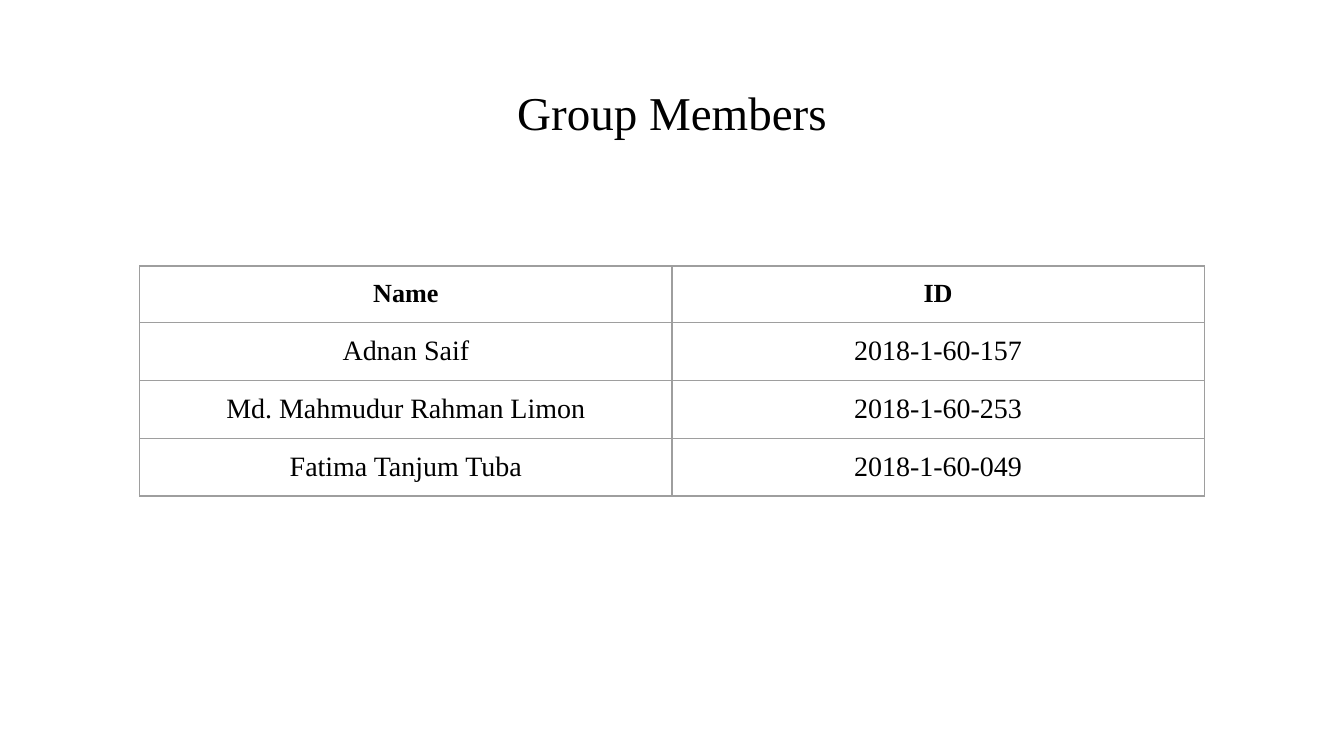
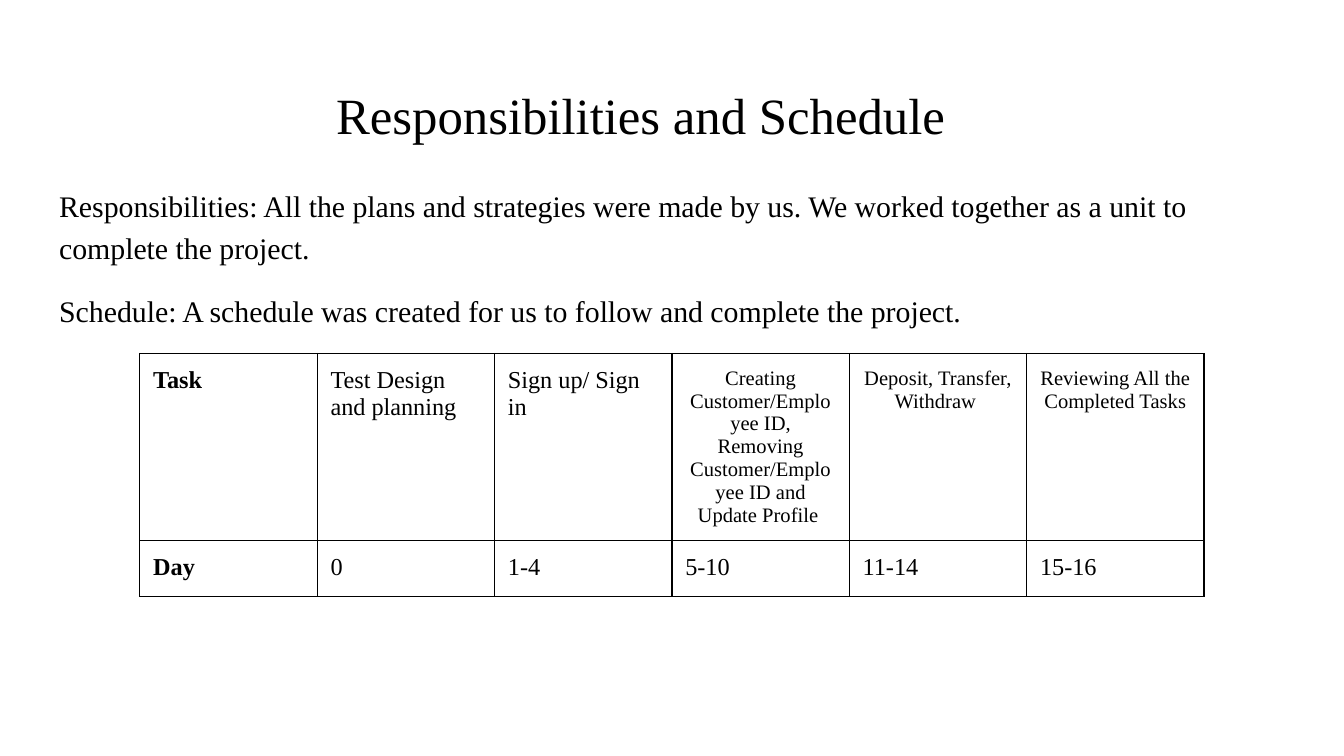
from lxml import etree
from pptx import Presentation
from pptx.dml.color import RGBColor
from pptx.enum.text import MSO_ANCHOR, MSO_AUTO_SIZE, PP_ALIGN
from pptx.oxml.ns import qn
from pptx.util import Inches, Pt

CENTER, LEFT = PP_ALIGN.CENTER, PP_ALIGN.LEFT
TOP = MSO_ANCHOR.TOP
NO_AUTOFIT = MSO_AUTO_SIZE.NONE

COLORS = {"background": "FFFFFF", "text": "000000", "member_grid": "9E9E9E", "schedule_grid": "000000"}
FONT = "Times New Roman"
TITLE_ONLY, TITLE_AND_BODY = 5, 1
SLIDE_WIDTH, SLIDE_HEIGHT = 10, 5.625
TITLE_BOX = (0.34, 0.49, 9.32, 0.63)
BODY_BOX = (0.34, 1.26, 9.32, 3.74)
TABLE_LEFT, TABLE_WIDTH, ROW_HEIGHT = 1.04, 7.92, 0.42
INSET = Inches(0.1)
MARGINS = {f"margin_{side}": INSET for side in ("left", "top", "right", "bottom")}

HEADER = {"size": 14, "bold": True, "alignment": CENTER}
MEMBER = {"size": 15, "alignment": CENTER}
LABEL = {"size": 13, "bold": True}
ENTRY = {"size": 13}
LONG_TASK = {"size": 11, "alignment": CENTER, "space_before": Pt(12)}

MEMBERS = [
    ("Name", "ID"),
    ("Adnan Saif", "2018-1-60-157"),
    ("Md. Mahmudur Rahman Limon", "2018-1-60-253"),
    ("Fatima Tanjum Tuba", "2018-1-60-049"),
]
BODY_TEXTS = [
    "Responsibilities: All the plans and strategies were made by us. "
    "We worked together as a unit to complete the project.",
    "Schedule: A schedule was created for us to follow and complete the project.",
]
SCHEDULE = [
    (
        "Task",
        "Test Design and planning",
        "Sign up/ Sign in",
        "Creating Customer/Employee ID, Removing Customer/Employee ID and Update Profile ",
        "Deposit, Transfer, Withdraw ",
        "Reviewing All the Completed Tasks",
    ),
    ("Day", "0", "1-4", "5-10", "11-14", "15-16"),
]


def set_attributes(target, values):
    """Set every attribute named in a dict."""
    for name, value in values.items():
        setattr(target, name, value)


def write(paragraph, text, size, bold=False, **layout):
    """Write one formatted run into a paragraph."""
    set_attributes(paragraph, {"alignment": LEFT, "space_before": Pt(0), **layout})
    run = paragraph.add_run()
    run.text = text
    set_attributes(run.font, {"name": FONT, "size": Pt(size), "bold": bold})
    run.font.color.rgb = RGBColor.from_string(COLORS["text"])


def place(placeholder, box, **frame_values):
    """Move a placeholder into a box and return its text frame."""
    set_attributes(placeholder, dict(zip(("left", "top", "width", "height"), map(Inches, box))))
    frame = placeholder.text_frame
    values = {**MARGINS, "auto_size": NO_AUTOFIT, "vertical_anchor": TOP, "word_wrap": True}
    set_attributes(frame, {**values, **frame_values})
    return frame


def add_slide(presentation, layout, title, size):
    """Add a slide with the shared background and title style."""
    slide = presentation.slides.add_slide(presentation.slide_layouts[layout])
    slide.background.fill.solid()
    slide.background.fill.fore_color.rgb = RGBColor.from_string(COLORS["background"])
    frame = place(slide.shapes.title, TITLE_BOX, margin_top=Inches(0.13))
    write(frame.paragraphs[0], title, size, alignment=CENTER)
    return slide


def add_body(slide, texts):
    """Fill the body placeholder with unbulleted paragraphs."""
    frame = place(slide.placeholders[1], BODY_BOX)
    for index, text in enumerate(texts):
        paragraph = frame.add_paragraph() if index else frame.paragraphs[0]
        write(paragraph, text, 16, line_spacing=1.15, space_before=Pt(12 if index else 0))
        properties = paragraph._p.get_or_add_pPr()
        properties.set("marL", "0")
        properties.set("indent", "0")
        etree.SubElement(properties, qn("a:buNone"))


def add_borders(cell, color):
    """Draw a thin line on all four sides of a cell."""
    properties = cell._tc.get_or_add_tcPr()
    for side in ("lnL", "lnR", "lnT", "lnB"):
        line = etree.SubElement(properties, qn(f"a:{side}"), w=str(Pt(0.75)))
        fill = etree.SubElement(line, qn("a:solidFill"))
        etree.SubElement(fill, qn("a:srgbClr"), val=color)


def add_grid(slide, rows, top, color, cell_style):
    """Add a bordered table of equal columns, styled by row and column."""
    box = (TABLE_LEFT, top, TABLE_WIDTH, ROW_HEIGHT * len(rows))
    table = slide.shapes.add_table(len(rows), len(rows[0]), *map(Inches, box)).table
    set_attributes(table, {"first_row": False, "horz_banding": False})
    for row, texts in enumerate(rows):
        for column, text in enumerate(texts):
            cell = table.cell(row, column)
            set_attributes(cell, {**MARGINS, "vertical_anchor": TOP})
            add_borders(cell, color)
            cell.fill.background()
            write(cell.text_frame.paragraphs[0], text, **cell_style(row, column))


def member_style(row, column):
    """Give the header row its own style."""
    return MEMBER if row else HEADER


def schedule_style(row, column):
    """Give labels and the long task names their own styles."""
    if column == 0:
        return LABEL
    return LONG_TASK if row == 0 and column >= 3 else ENTRY


def main():
    """Build and save the two slides."""
    presentation = Presentation()
    set_attributes(
        presentation,
        {"slide_width": Inches(SLIDE_WIDTH), "slide_height": Inches(SLIDE_HEIGHT)},
    )
    members = add_slide(presentation, TITLE_ONLY, "Group Members", 25.2)
    add_grid(members, MEMBERS, 1.98, COLORS["member_grid"], member_style)

    schedule = add_slide(presentation, TITLE_AND_BODY, "Responsibilities and Schedule\t", 27.2)
    add_body(schedule, BODY_TEXTS)
    add_grid(schedule, SCHEDULE, 2.63, COLORS["schedule_grid"], schedule_style)
    presentation.save("out.pptx")


if __name__ == "__main__":
    main()
